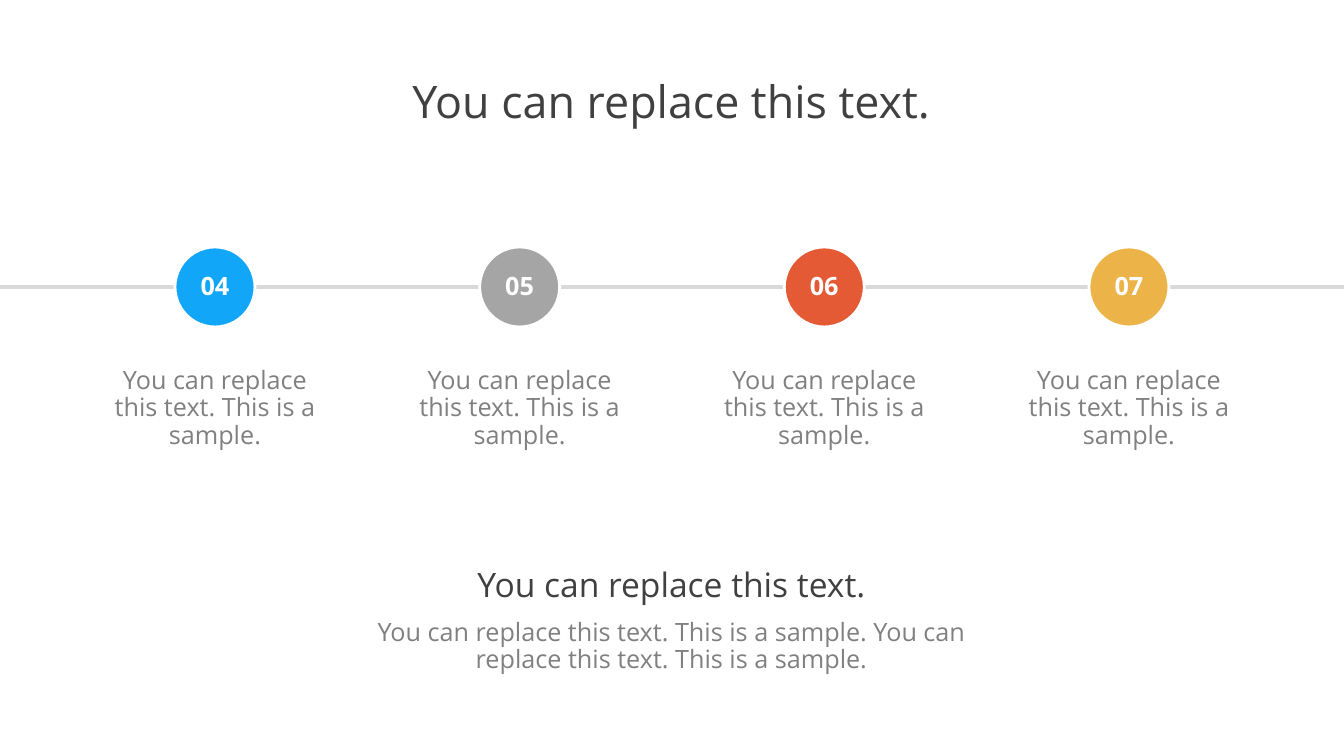
from pptx import Presentation
from pptx.dml.color import RGBColor
from pptx.enum.shapes import MSO_CONNECTOR, MSO_SHAPE
from pptx.enum.text import MSO_ANCHOR, MSO_AUTO_SIZE, PP_ALIGN
from pptx.oxml.ns import qn
from pptx.util import Inches, Pt

COLORS = {
    "blue": "12A6F8", "gray": "A5A5A5", "red": "E35A35", "gold": "ECB448",
    "rule": "D9D9D9", "dark": "404040", "text": "808080", "white": "FFFFFF",
}
HEAD = "You can replace this text."
NOTE = "You can replace this text. This is a sample."
STEPS = [("04", "blue"), ("05", "gray"), ("06", "red"), ("07", "gold")]
WIDTH, HEIGHT = 1344, 756


def px(num):
    return round(num * Inches(1) / 100.8)


def color(name):
    return RGBColor.from_string(COLORS[name])


def write(shape, text, size, tone, bold=False, anchor=MSO_ANCHOR.TOP,
          fit=MSO_AUTO_SIZE.SHAPE_TO_FIT_TEXT):
    frame = shape.text_frame
    frame.text = text
    for key, value in {"word_wrap": True, "auto_size": fit,
                       "vertical_anchor": anchor}.items():
        setattr(frame, key, value)
    para = frame.paragraphs[0]
    for key, value in {"alignment": PP_ALIGN.CENTER, "line_spacing": 0.9}.items():
        setattr(para, key, value)
    font = para.runs[0].font
    for key, value in {"name": "Open Sans", "size": Pt(size), "bold": bold}.items():
        setattr(font, key, value)
    font.color.rgb = color(tone)


def label(slide, box, text, size, tone):
    write(slide.shapes.add_textbox(*map(px, box)), text, size, tone)


# Heading
def title(slide, box):
    shape = slide.shapes.title
    for key, value in zip(("left", "top", "width", "height"), box):
        setattr(shape, key, px(value))
    write(shape, HEAD, 32, "dark")


# One numbered circle with its text below
def step(slide, box, num, tone):
    left, top, width, _ = box
    size = 80
    dot = slide.shapes.add_shape(
        MSO_SHAPE.OVAL, px(left + (width - size) / 2), px(top), px(size), px(size))
    dot.shadow.inherit = False
    dot.fill.solid()
    dot.fill.fore_color.rgb = color(tone)
    dot.line.color.rgb = color("white")
    dot.line.width = Pt(2)
    write(dot, num, 18, "white", True, MSO_ANCHOR.MIDDLE, MSO_AUTO_SIZE.NONE)
    label(slide, (left, top + 116, width, 102), NOTE, 18, "text")


# Line across the slide, with evenly spaced steps
def timeline(slide, box):
    left, top, width, height = box
    mid = px(top + 40)
    line = slide.shapes.add_connector(MSO_CONNECTOR.STRAIGHT, 0, mid, px(WIDTH), mid)
    line.line.color.rgb = color("rule")
    line.line.width = Pt(2.25)
    props = line._element.spPr
    props.append(props.makeelement(qn("a:effectLst"), {}))
    wide = 222
    pitch = (width - wide) / (len(STEPS) - 1)
    for i, (num, tone) in enumerate(STEPS):
        step(slide, (left + i * pitch, top, wide, height), num, tone)


# Closing heading and text
def summary(slide, box):
    left, top, width, height = box
    label(slide, (left, top, width, 50), HEAD, 24, "dark")
    label(slide, (left, top + 51, width, height - 51), f"{NOTE} {NOTE}", 18, "text")


def main():
    deck = Presentation()
    deck.slide_width, deck.slide_height = px(WIDTH), px(HEIGHT)
    slide = deck.slides.add_slide(deck.slide_layouts[5])
    title(slide, (335, 75, 673, 65))
    timeline(slide, (104, 247, 1136, 218))
    summary(slide, (335, 564, 673, 122))
    deck.save("out.pptx")


if __name__ == "__main__":
    main()
